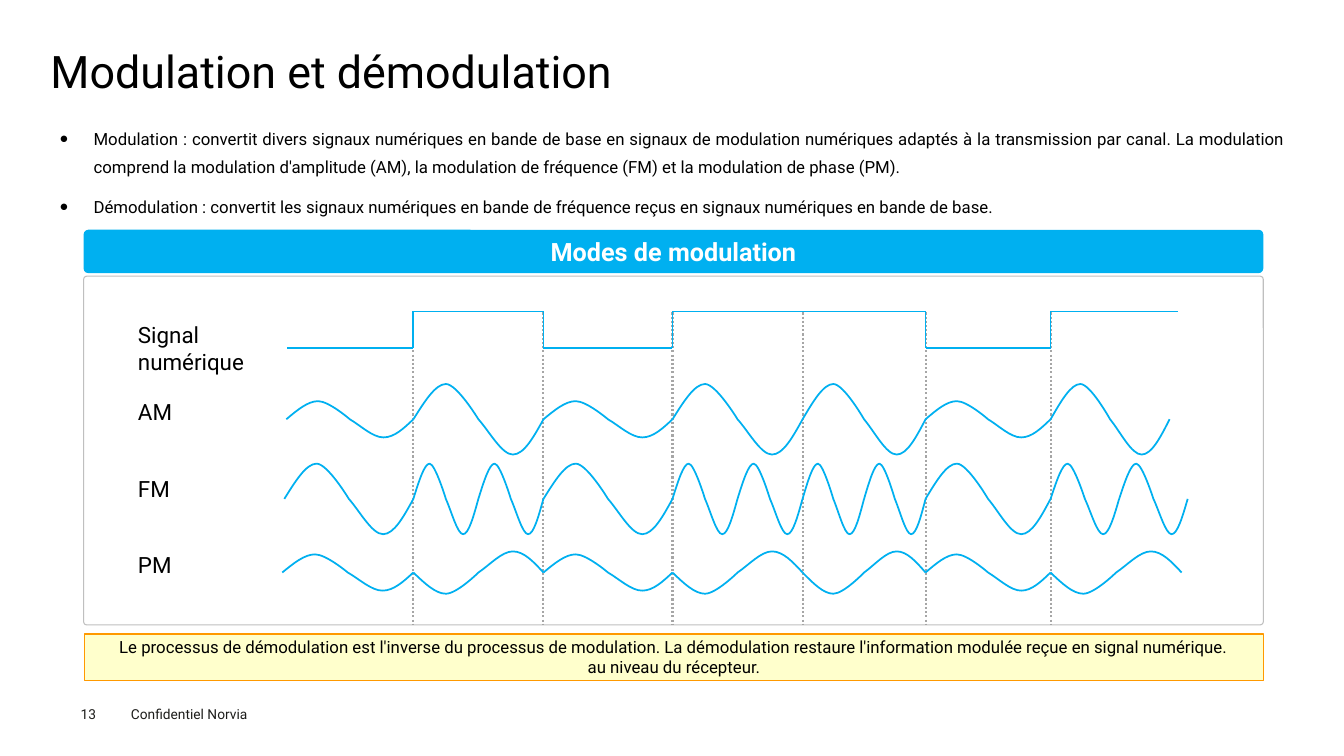
from itertools import pairwise

from lxml import etree
from pptx import Presentation
from pptx import util as u
from pptx.dml.color import RGBColor
from pptx.enum import dml, shapes, text
from pptx.oxml import ns

COLORS = {"ink": "000000", "footer": "1D1D1B", "signal": "00B0F0", "white": "FFFFFF",
          "frame": "BFBFBF", "guide": "A6A6A6", "note": "FFFFCC", "note_edge": "FF9900"}
FONT = "Roboto"
BITS = [0, 1, 0, 1, 1, 0, 1]
BIT_EDGES = [4.1, 5.39, 6.67, 7.96, 9.18, 10.42]
CYCLE = [(0, 0), (.085, .5), (.17, 1), (.25, 1),
         (.335, 1), (.5, 0), (.5, 0),
         (.585, -.35), (.68, -1), (.765, -1),
         (.85, -1), (.925, -.5), (1, 0)]
DEFINITIONS = [
    "Modulation : convertit divers signaux numériques en bande de base en signaux de modulation "
    "numériques adaptés à la transmission par canal. La modulation comprend la modulation "
    "d'amplitude (AM), la modulation de fréquence (FM) et la modulation de phase (PM).",
    "Démodulation : convertit les signaux numériques en bande de fréquence reçus en signaux "
    "numériques en bande de base."]
SUMMARY = [
    "Le processus de démodulation est l'inverse du processus de modulation. "
    "La démodulation restaure l'information modulée reçue en signal numérique.",
    "au niveau du récepteur."]


def rgb(name):
    """Return the named colour."""
    return RGBColor.from_string(COLORS[name])


def write(frame, lines, size, color="ink", bold=False, align=text.PP_ALIGN.LEFT):
    """Fill a text frame and format its paragraphs."""
    frame.word_wrap = True
    frame.text = "\n".join(lines)
    for paragraph in frame.paragraphs:
        paragraph.alignment = align
        for run in paragraph.runs:
            run.font.name = FONT
            run.font.size = u.Pt(size)
            run.font.bold = bold
            run.font.color.rgb = rgb(color)


def add_text(slide, box, lines, size, color="ink", inset=True, align=text.PP_ALIGN.LEFT):
    """Add a text box and return its frame."""
    frame = slide.shapes.add_textbox(*map(u.Inches, box)).text_frame
    if not inset:
        frame.margin_left = frame.margin_right = frame.margin_top = frame.margin_bottom = 0
    write(frame, lines, size, color, align=align)
    return frame


def add_panel(slide, box, kind, fill=None, edge=None, width=1, corner=None):
    """Add a filled or outlined panel."""
    panel = slide.shapes.add_shape(kind, *map(u.Inches, box))
    panel.shadow.inherit = False
    if corner is not None:
        panel.adjustments[0] = corner
    if fill:
        panel.fill.solid()
        panel.fill.fore_color.rgb = rgb(fill)
    else:
        panel.fill.background()
    if edge:
        panel.line.color.rgb = rgb(edge)
        panel.line.width = u.Pt(width)
    else:
        panel.line.fill.background()
    panel.text_frame.vertical_anchor = text.MSO_ANCHOR.MIDDLE
    return panel


def add_line(slide, start, end, color="signal", width=1.25, dash=None):
    """Add a straight line between two points."""
    line = slide.shapes.add_connector(shapes.MSO_CONNECTOR.STRAIGHT,
                                      *map(u.Inches, (*start, *end)))
    line.line.color.rgb = rgb(color)
    line.line.width = u.Pt(width)
    if dash:
        line.line.dash_style = dash
    etree.SubElement(line._element.spPr, ns.qn("a:effectLst"))


def add_cycle(slide, left, right, axis, amplitude):
    """Draw one wave cycle as curves; a negative amplitude inverts its phase."""
    controls = [(u.Inches(left + x * (right - left)), u.Inches(axis - y * amplitude))
                for x, y in CYCLE]
    builder = slide.shapes.build_freeform(*controls[0])
    builder.add_line_segments(controls[1:], close=False)
    wave = builder.convert_to_shape()
    wave.shadow.inherit = False
    wave.fill.background()
    wave.line.color.rgb = rgb("signal")
    wave.line.width = u.Pt(1.25)
    outline = wave._element.spPr.find(".//" + ns.qn("a:path"))
    segments = outline.findall(ns.qn("a:lnTo"))
    for first in range(0, len(segments), 3):
        curve = etree.SubElement(outline, ns.qn("a:cubicBezTo"))
        for segment in segments[first:first + 3]:
            curve.append(segment[0])
            outline.remove(segment)


def add_wave_row(slide, start, end, axis, amplitudes, cycles):
    """Draw a modulated signal with an amplitude and cycle count per bit value."""
    for bit, (left, right) in zip(BITS, pairwise([start, *BIT_EDGES, end])):
        period = (right - left) / cycles[bit]
        for i in range(cycles[bit]):
            add_cycle(slide, left + i * period, left + (i + 1) * period, axis, amplitudes[bit])


def add_digital_row(slide, start, end, low, high):
    """Draw the square signal of the bits."""
    levels = [high if bit else low for bit in BITS]
    for level, (left, right) in zip(levels, pairwise([start, *BIT_EDGES, end])):
        add_line(slide, (left, level), (right, level))
    for edge, (before, after) in zip(BIT_EDGES, pairwise(levels)):
        if before != after:
            add_line(slide, (edge, before), (edge, after))


def add_definitions(slide, box):
    """Add the bulleted definitions."""
    frame = add_text(slide, box, DEFINITIONS, 12, align=text.PP_ALIGN.JUSTIFY)
    for paragraph in frame.paragraphs:
        paragraph.line_spacing = 1.4
        paragraph.space_before = u.Pt(7.9)
        properties = paragraph._p.get_or_add_pPr()
        properties.set("marL", str(u.Inches(.33)))
        properties.set("indent", str(u.Inches(-.33)))
        etree.SubElement(properties, ns.qn("a:buSzPct")).set("val", "50000")
        etree.SubElement(properties, ns.qn("a:buFont")).set("typeface", FONT)
        etree.SubElement(properties, ns.qn("a:buChar")).set("char", "●")


def add_modes(slide, box):
    """Add the banner and the framed chart of modulation modes."""
    left, top, width, height = box
    rounded = shapes.MSO_SHAPE.ROUNDED_RECTANGLE
    bottom = top + height
    add_panel(slide, (left, top + .46, width, height - .46), rounded,
              edge="frame", width=.75, corner=.009)
    banner = add_panel(slide, (left, top, width, .43), rounded, fill="signal", corner=.106)
    write(banner.text_frame, ["Modes de modulation"], 18, "white", True, text.PP_ALIGN.CENTER)
    for row, label in enumerate(["Signal numérique", "AM", "FM", "PM"]):
        add_text(slide, (left + .44, top + .86 + row * .76, 1.55, .37), [label], 16)
    for edge in BIT_EDGES:
        add_line(slide, (edge, top + .82), (edge, bottom), "guide", 1.5,
                 dml.MSO_LINE.ROUND_DOT)
    add_digital_row(slide, left + 2.02, left + 10.85, top + 1.17, top + .81)
    add_wave_row(slide, left + 2.01, left + 10.77, top + 1.88, (.18, .35), (1, 1))
    add_wave_row(slide, left + 1.99, left + 10.95, top + 2.67, (.35, .35), (1, 2))
    add_wave_row(slide, left + 1.97, left + 10.89, top + 3.4, (.18, -.21), (1, 1))


def add_summary(slide, box):
    """Add the closing note."""
    note = add_panel(slide, box, shapes.MSO_SHAPE.RECTANGLE, "note", "note_edge")
    write(note.text_frame, SUMMARY, 12, align=text.PP_ALIGN.CENTER)


def add_footer(slide, box):
    """Add the page number and the confidentiality mention."""
    left, top, width, height = box
    add_text(slide, (left + .4, top, width - .4, height), ["Confidentiel Norvia"], 9.8, "footer")
    add_text(slide, (left, top + .05, .55, .16), ["13"], 9.8, "footer", inset=False)


def main():
    """Build and save the slide."""
    deck = Presentation()
    deck.slide_width, deck.slide_height = u.Inches(13.33), u.Inches(7.5)
    slide = deck.slides.add_slide(deck.slide_layouts[6])
    add_footer(slide, (.8, 6.95, 2, .27))
    title = add_text(slide, (.5, .49, 12.35, .54), ["Modulation et démodulation"], 32, inset=False)
    title.paragraphs[0].line_spacing = .9
    add_definitions(slide, (.5, 1.15, 12.35, 5.33))
    add_modes(slide, (.83, 2.28, 11.7, 3.92))
    add_summary(slide, (.84, 6.29, 11.69, .46))
    deck.save("out.pptx")


if __name__ == "__main__":
    main()
